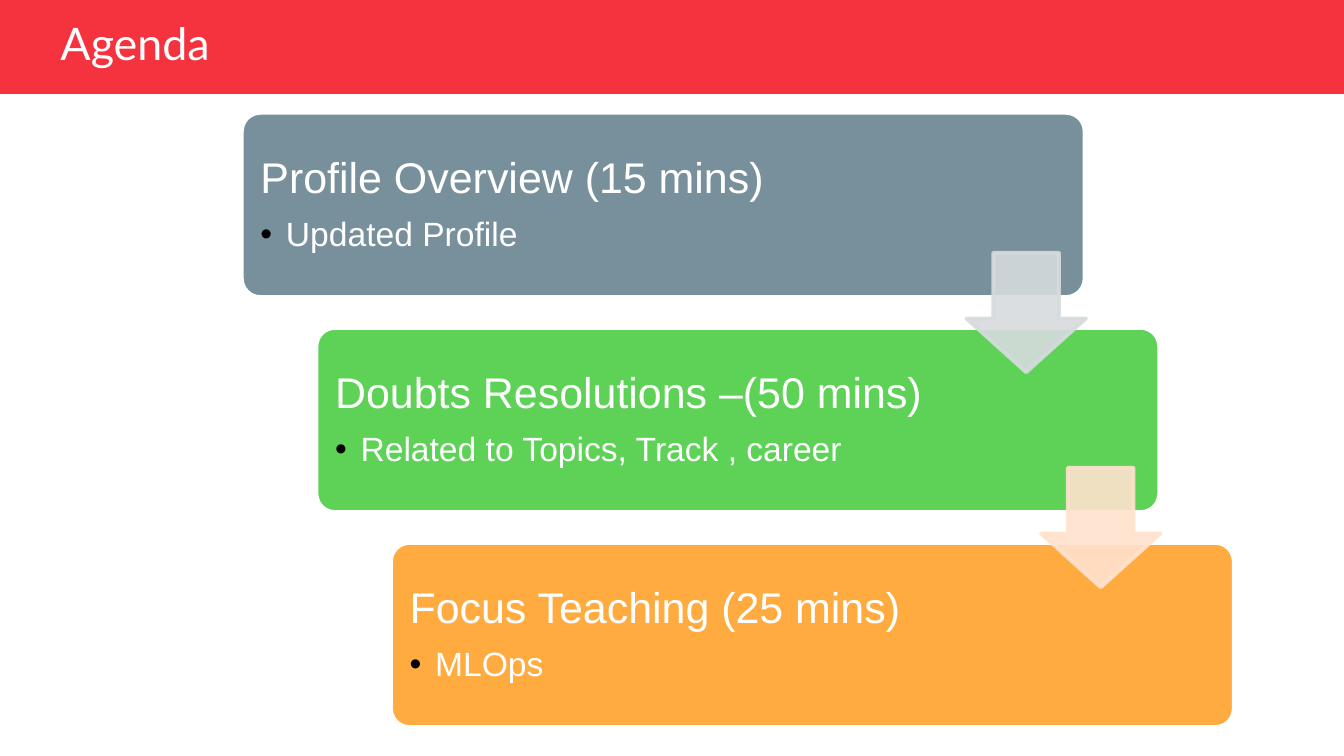
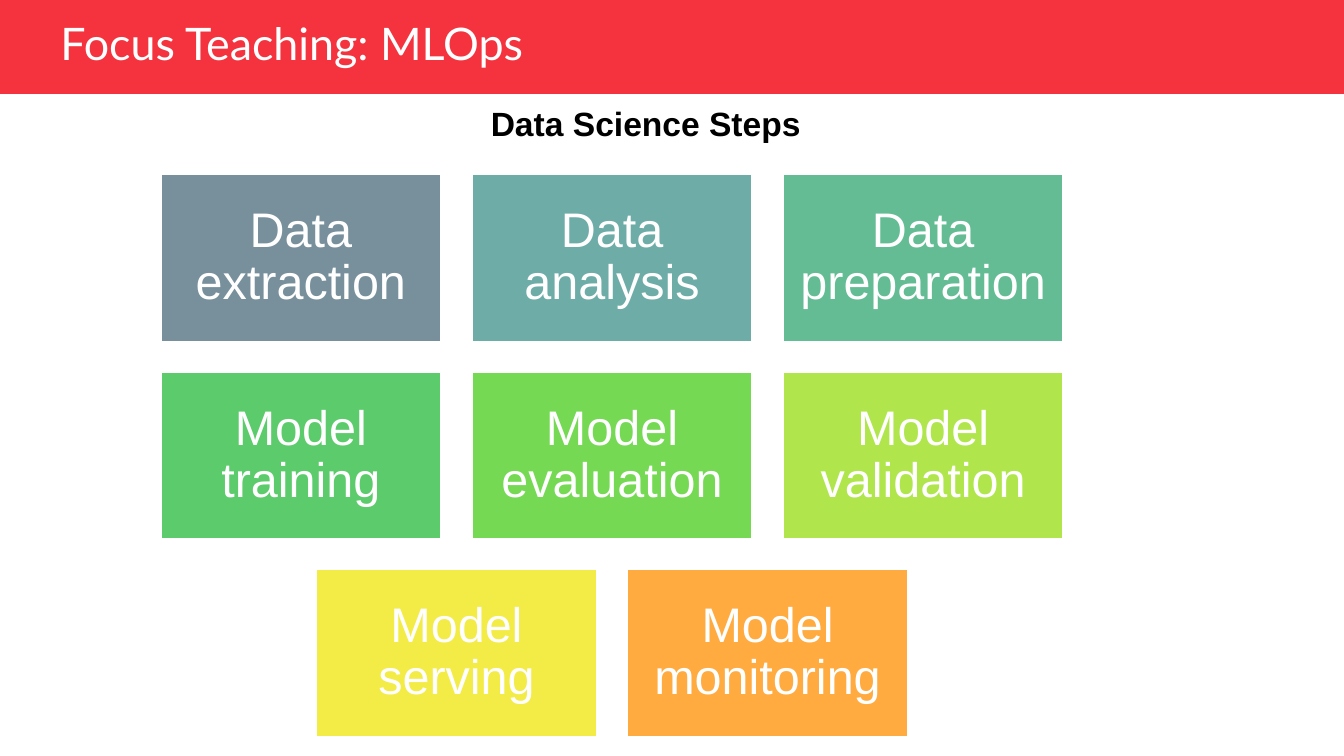
from lxml import etree
from pptx import Presentation
from pptx.dml.color import RGBColor
from pptx.enum.shapes import MSO_SHAPE
from pptx.enum.text import MSO_ANCHOR, MSO_AUTO_SIZE, PP_ALIGN
from pptx.oxml.ns import qn
from pptx.util import Inches, Pt

RECTANGLE = MSO_SHAPE.RECTANGLE
ROUNDED = MSO_SHAPE.ROUNDED_RECTANGLE
DOWN_ARROW = MSO_SHAPE.DOWN_ARROW
LEFT, CENTER = PP_ALIGN.LEFT, PP_ALIGN.CENTER
MIDDLE = MSO_ANCHOR.MIDDLE
NO_AUTO_SIZE = MSO_AUTO_SIZE.NONE
TITLE_ONLY = 5

COLORS = {
    "band": "F5333F", "white": "FFFFFF", "black": "000000",
    "slate": "78909C", "teal": "6EACA8", "sea": "64BC94", "emerald": "5CCB6C",
    "leaf": "75D954", "lime": "B0E64C", "yellow": "F3EC46", "orange": "FFAB40",
    "green": "5ED257", "pale_slate": "D6DBDE", "pale_orange": "FFE2CE",
}

AGENDA = [
    ("Profile Overview (15 mins)", "Updated Profile", "slate"),
    ("Doubts Resolutions –(50 mins)", "Related to Topics, Track , career", "green"),
    ("Focus Teaching (25 mins)", "MLOps", "orange"),
]
ARROW_COLORS = ["pale_slate", "pale_orange"]

STEP_ROWS = [
    [("Data extraction", "slate"), ("Data analysis", "teal"), ("Data preparation", "sea")],
    [("Model training", "emerald"), ("Model evaluation", "leaf"), ("Model validation", "lime")],
    [("Model serving", "yellow"), ("Model monitoring", "orange")],
]


def rgb(name):
    return RGBColor.from_string(COLORS[name])


def add_filled_shape(slide, kind, box, fill, line="white"):
    shape = slide.shapes.add_shape(kind, *(Inches(value) for value in box))
    shape.shadow.inherit = False
    shape.fill.solid()
    shape.fill.fore_color.rgb = rgb(fill)
    shape.line.color.rgb = rgb(line)
    shape.line.width = Pt(2)
    return shape


def set_frame(text_frame, horizontal, vertical):
    text_frame.word_wrap = True
    text_frame.auto_size = NO_AUTO_SIZE
    text_frame.vertical_anchor = MIDDLE
    text_frame.margin_left = text_frame.margin_right = Inches(horizontal)
    text_frame.margin_top = text_frame.margin_bottom = Inches(vertical)


def write(paragraph, text, size, color="white", font="Arial", align=LEFT,
          bold=False, spacing=0.9, after=0):
    paragraph.text = text
    paragraph.alignment = align
    paragraph.line_spacing = spacing
    paragraph.space_before = Pt(0)
    paragraph.space_after = Pt(after)
    for run in paragraph.runs:
        run.font.name = font
        run.font.size = Pt(size)
        run.font.bold = bold
        run.font.color.rgb = rgb(color)


def add_bullet(paragraph, indent, color):
    properties = paragraph._p.get_or_add_pPr()
    properties.set("marL", str(Inches(indent)))
    properties.set("indent", str(-Inches(indent)))
    bullet_color = etree.SubElement(properties, qn("a:buClr"))
    etree.SubElement(bullet_color, qn("a:srgbClr"), val=COLORS[color])
    etree.SubElement(properties, qn("a:buFont"), typeface="Arial")
    etree.SubElement(properties, qn("a:buChar"), char="•")


def set_opacity(shape, percent):
    """Make both the fill and the outline of a shape partly transparent."""
    for color in shape.element.spPr.iter(qn("a:srgbClr")):
        etree.SubElement(color, qn("a:alpha"), val=str(percent * 1000))


def add_layout_band(slide):
    """Put the title band on the layout, behind the titles of all slides."""
    band = add_filled_shape(slide, RECTANGLE, (0, 0, 10, 0.7), "band")
    band.line.fill.background()
    slide.slide_layout.shapes.element.insert(2, band.element)


def add_titled_slide(presentation, text, title_width):
    slide = presentation.slides.add_slide(presentation.slide_layouts[TITLE_ONLY])
    title = slide.shapes.title
    title.left, title.top = Inches(0.35), Inches(0.13)
    title.width, title.height = Inches(title_width), Inches(0.42)
    set_frame(title.text_frame, 0.1, 0.05)
    write(title.text_frame.paragraphs[0], text, 24, font="Lato")
    return slide


def add_agenda_item(slide, box, heading, detail, color):
    card = add_filled_shape(slide, ROUNDED, box, color)
    card.adjustments[0] = 0.1
    set_frame(card.text_frame, 0.1, 0.1)
    write(card.text_frame.paragraphs[0], heading, 23, after=8)
    paragraph = card.text_frame.add_paragraph()
    write(paragraph, detail, 18, after=3)
    paragraph.level = 1
    add_bullet(paragraph, 0.19, "black")


def add_agenda_arrow(slide, box, color):
    arrow = add_filled_shape(slide, DOWN_ARROW, box, color, line=color)
    arrow.adjustments[0] = 0.55
    arrow.adjustments[1] = 0.45
    set_opacity(arrow, 90)


def add_agenda(slide, left, top, width, height):
    """Draw a staircase of cards, with an arrow from each card to the next."""
    card_width, card_height = 6.27, 1.37
    arrow_size = 0.89
    shift = (width - card_width) / (len(AGENDA) - 1)
    pitch = (height - card_height) / (len(AGENDA) - 1)
    for index, item in enumerate(AGENDA):
        add_agenda_item(slide, (left + index * shift, top + index * pitch,
                                card_width, card_height), *item)
    for index, color in enumerate(ARROW_COLORS):
        arrow_left = left + index * shift + card_width - arrow_size + 0.01
        arrow_top = top + index * pitch + 1.04
        add_agenda_arrow(slide, (arrow_left, arrow_top, arrow_size, arrow_size), color)


def add_step_grid(slide, left, top, width, height):
    """Draw rows of step boxes, each row centred in the grid."""
    box_width, box_height = 2.1, 1.26
    columns = max(len(row) for row in STEP_ROWS)
    pitch_x = (width - box_width) / (columns - 1)
    pitch_y = (height - box_height) / (len(STEP_ROWS) - 1)
    for row_index, row in enumerate(STEP_ROWS):
        row_left = left + (columns - len(row)) * pitch_x / 2
        for column, (label, color) in enumerate(row):
            box = (row_left + column * pitch_x, top + row_index * pitch_y,
                   box_width, box_height)
            step = add_filled_shape(slide, RECTANGLE, box, color)
            set_frame(step.text_frame, 0.11, 0.11)
            write(step.text_frame.paragraphs[0], label, 26, align=CENTER)


def add_heading(slide, text, box):
    heading = slide.shapes.add_textbox(*(Inches(value) for value in box))
    heading.text_frame.word_wrap = True
    write(heading.text_frame.paragraphs[0], text, 18, color="black",
          align=CENTER, bold=True, spacing=1.0)


def main():
    presentation = Presentation()
    presentation.slide_width = Inches(10)
    presentation.slide_height = Inches(10 * 9 / 16)

    agenda_slide = add_titled_slide(presentation, "Agenda", 8.32)
    add_layout_band(agenda_slide)
    add_agenda(agenda_slide, 1.8, 0.84, 7.38, 4.57)

    steps_slide = add_titled_slide(presentation, "Focus Teaching: MLOps", 4.09)
    add_step_grid(steps_slide, 1.19, 1.29, 6.73, 4.2)
    add_heading(steps_slide, "Data Science Steps", (2.09, 0.72, 5.43, 0.4))

    presentation.save("out.pptx")


if __name__ == "__main__":
    main()
